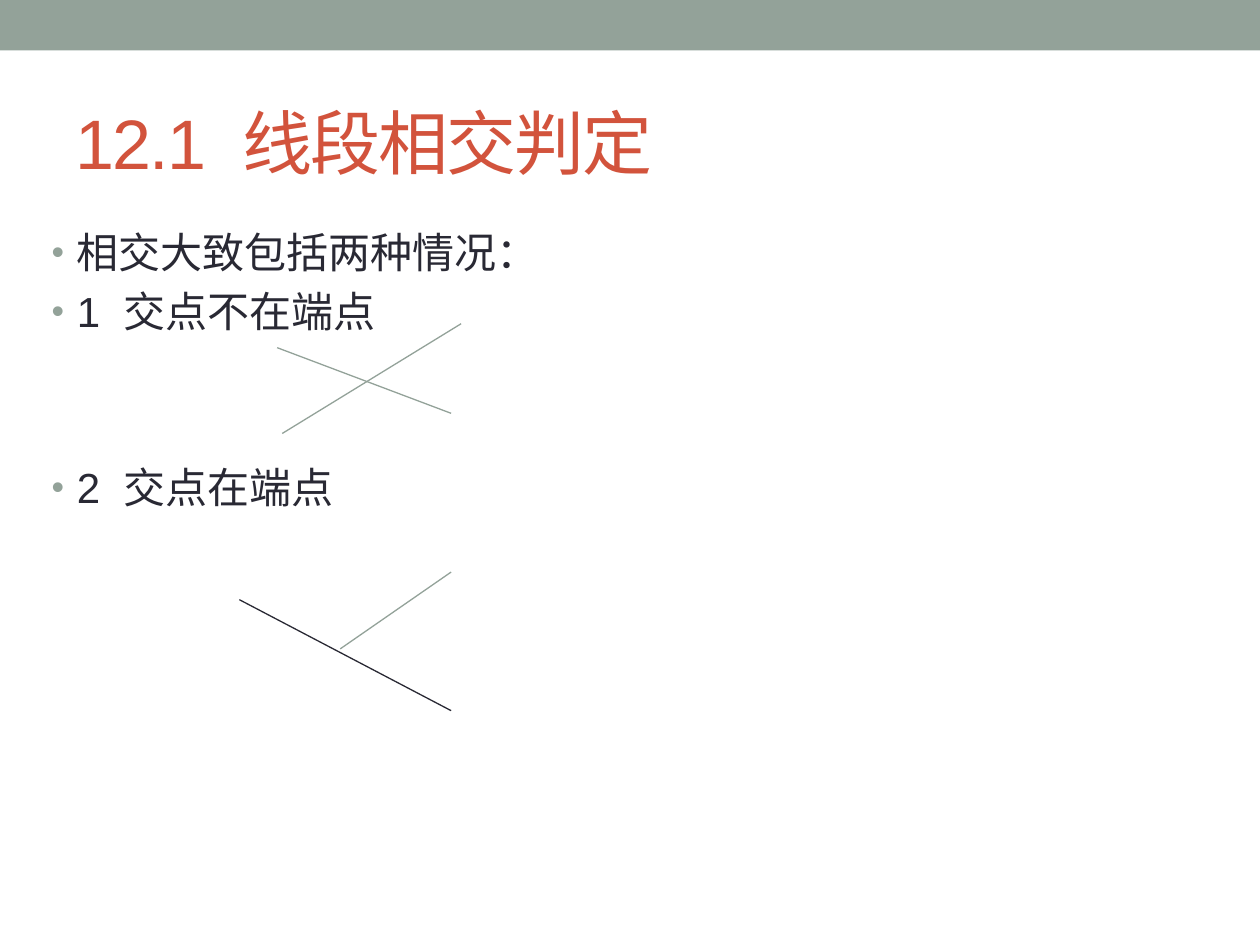
from dataclasses import dataclass

from lxml import etree
from pptx import Presentation
from pptx.dml.color import RGBColor
from pptx.enum.shapes import MSO_CONNECTOR, MSO_SHAPE
from pptx.enum.text import MSO_ANCHOR, MSO_AUTO_SIZE, PP_ALIGN
from pptx.oxml.ns import qn
from pptx.util import Pt

RECTANGLE = MSO_SHAPE.RECTANGLE
STRAIGHT = MSO_CONNECTOR.STRAIGHT
LEFT = PP_ALIGN.LEFT
TOP, MIDDLE = MSO_ANCHOR.TOP, MSO_ANCHOR.MIDDLE
NO_AUTOFIT = MSO_AUTO_SIZE.NONE


@dataclass(frozen=True)
class Theme:
    """Colours, font and type sizes of the slide."""
    sage: str = "93A299"
    red: str = "D2533C"
    ink: str = "292934"
    font: str = "Arial"
    title_size: float = 40
    body_size: float = 24
    line_width: float = 0.75


@dataclass(frozen=True)
class Segment:
    """A straight line between two points, in points."""
    start: tuple[float, float]
    end: tuple[float, float]
    color: str


@dataclass(frozen=True)
class Bullet:
    """A list entry and the space above it, in points."""
    text: str
    space_before: float


THEME = Theme()
SPACE_WIDTH = 0.28  # width of a space, as a share of the type size
LINE_PITCH = 33.5
PARAGRAPH_GAP = 0.2 * THEME.body_size
INDENT = 14.4

BULLETS = [
    Bullet("相交大致包括两种情况：", PARAGRAPH_GAP),
    Bullet("1 交点不在端点", PARAGRAPH_GAP),
    Bullet("2 交点在端点", PARAGRAPH_GAP + 2 * LINE_PITCH),
]
SEGMENTS = [
    Segment((161.3, 247.7), (263.5, 185), THEME.sage),
    Segment((158.4, 198.7), (257.8, 236.2), THEME.sage),
    Segment((136.8, 342.7), (257.8, 406.1), THEME.ink),
    Segment((194.4, 370.8), (257.8, 326.9), THEME.sage),
]


def write_text(paragraph, text: str, *, size: float, color: str,
               spacing: float = 0) -> None:
    """Write text, doubling the gap after a leading number by letter spacing."""
    number, space, words = text.rpartition(" ")
    wide = 2 * spacing + SPACE_WIDTH * size
    for part, tracking in ((number, spacing), (space, wide), (words, spacing)):
        if not part:
            continue
        run = paragraph.add_run()
        run.text = part
        run.font.name = THEME.font
        run.font.size = Pt(size)
        run.font.color.rgb = RGBColor.from_string(color)
        run.font._element.set("spc", str(round(tracking * 100)))


def place(shape, left: float, top: float, width: float, height: float, anchor):
    """Move a placeholder and return its text frame, ready for writing."""
    shape.left, shape.top = Pt(left), Pt(top)
    shape.width, shape.height = Pt(width), Pt(height)
    frame = shape.text_frame
    frame.word_wrap = True
    frame.auto_size = NO_AUTOFIT
    frame.vertical_anchor = anchor
    return frame


def add_bullet_mark(paragraph) -> None:
    """Give a paragraph a hanging, coloured bullet."""
    properties = paragraph._p.get_or_add_pPr()
    properties.set("marL", str(Pt(INDENT)))
    properties.set("indent", str(-Pt(INDENT)))
    color = etree.SubElement(properties, qn("a:buClr"))
    etree.SubElement(color, qn("a:srgbClr"), val=THEME.sage)
    etree.SubElement(properties, qn("a:buSzPct"), val="85000")
    etree.SubElement(properties, qn("a:buFont"), typeface=THEME.font)
    etree.SubElement(properties, qn("a:buChar"), char="•")


def add_band(slide, width: float, height: float) -> None:
    """Draw the plain band along the top edge."""
    band = slide.shapes.add_shape(RECTANGLE, 0, 0, Pt(width), Pt(height))
    band.shadow.inherit = False
    band.fill.solid()
    band.fill.fore_color.rgb = RGBColor.from_string(THEME.sage)
    band.line.fill.background()


def add_title(slide, text: str) -> None:
    """Fill the title placeholder."""
    frame = place(slide.shapes.title, 36, 41.8, 648, 77.8, MIDDLE)
    paragraph = frame.paragraphs[0]
    paragraph.alignment = LEFT
    write_text(paragraph, text, size=THEME.title_size, color=THEME.red, spacing=-1)


def add_list(slide, bullets: list[Bullet]) -> None:
    """Fill the body placeholder with bullets."""
    frame = place(slide.placeholders[1], 22.3, 126, 652.3, 383.8, TOP)
    for index, bullet in enumerate(bullets):
        paragraph = frame.add_paragraph() if index else frame.paragraphs[0]
        paragraph.alignment = LEFT
        paragraph.space_before = Pt(bullet.space_before)
        add_bullet_mark(paragraph)
        write_text(paragraph, bullet.text, size=THEME.body_size, color=THEME.ink)


def add_segment(slide, segment: Segment) -> None:
    """Draw one line segment without a shadow."""
    points = [Pt(value) for value in (*segment.start, *segment.end)]
    line = slide.shapes.add_connector(STRAIGHT, *points)
    line.line.width = Pt(THEME.line_width)
    line.line.color.rgb = RGBColor.from_string(segment.color)
    etree.SubElement(line._element.spPr, qn("a:effectLst"))


def main() -> None:
    """Build and save the slide."""
    presentation = Presentation()
    presentation.slide_width, presentation.slide_height = Pt(720), Pt(540)
    slide = presentation.slides.add_slide(presentation.slide_layouts[1])
    add_band(slide, 720, 28.8)
    add_title(slide, "12.1 线段相交判定")
    add_list(slide, BULLETS)
    for segment in SEGMENTS:
        add_segment(slide, segment)
    presentation.save("out.pptx")


main()
